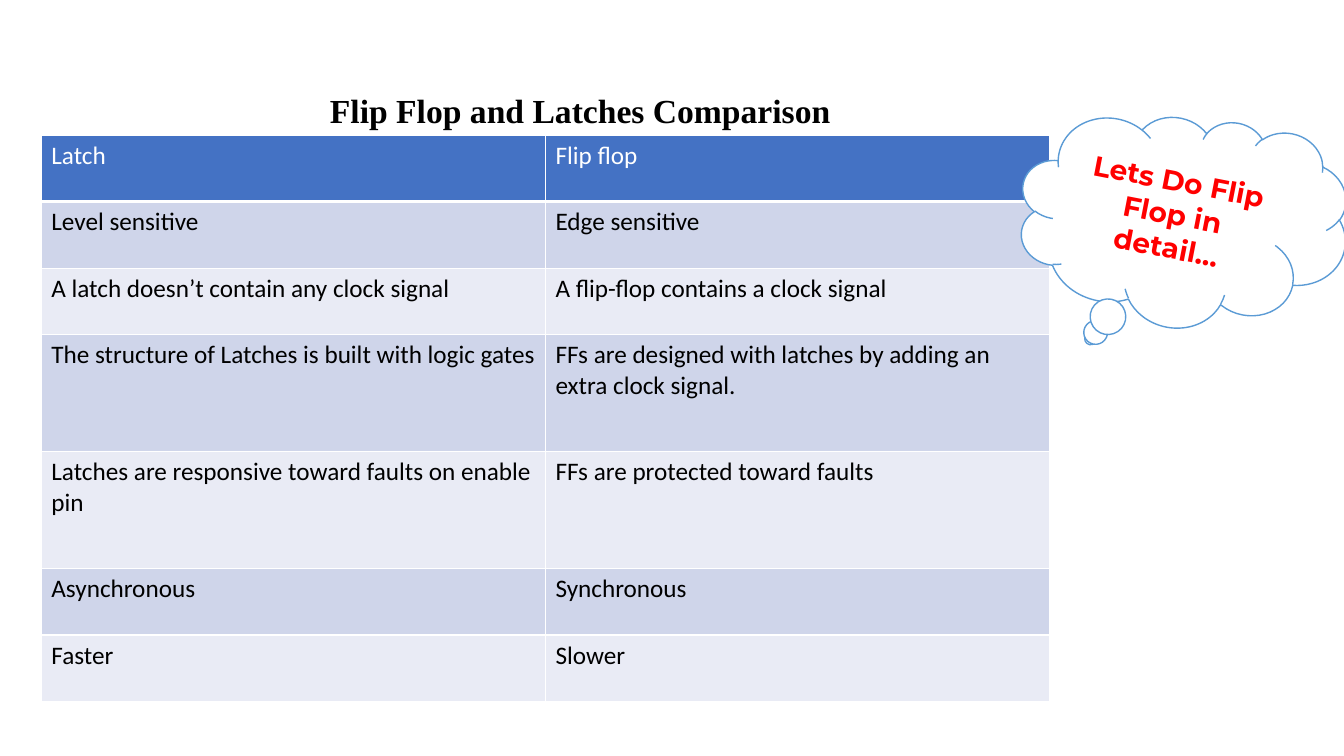
from dataclasses import dataclass

from lxml import etree
from pptx import Presentation
from pptx.dml.color import RGBColor
from pptx.enum import shapes, text
from pptx.oxml import ns
from pptx.util import Inches, Pt

COLORS = {
    "header": "4472C4",
    "odd": "CFD5EA",
    "even": "E9EBF5",
    "white": "FFFFFF",
    "black": "000000",
    "cloud_line": "5B9BD5",
    "cloud_text": "FF0000",
}


@dataclass
class ComparisonRow:
    latch: str
    flip_flop: str
    height: float = 0.66


ROWS = [
    ComparisonRow("Latch", "Flip flop"),
    ComparisonRow("Level sensitive", "Edge sensitive"),
    ComparisonRow("A latch doesn’t contain any clock signal",
                  "A flip-flop contains a clock signal"),
    ComparisonRow("The structure of Latches is built with logic gates",
                  "FFs are designed with latches by adding an extra clock signal.", 1.16),
    ComparisonRow("Latches are responsive toward faults on enable pin",
                  "FFs are protected toward faults", 1.16),
    ComparisonRow("Asynchronous", "Synchronous"),
    ComparisonRow("Faster", "Slower"),
]


def rgb(name: str) -> RGBColor:
    return RGBColor.from_string(COLORS[name])


def style_paragraph(paragraph, font_name: str, size: float, color: str,
                    bold: bool = False, align=None) -> None:
    paragraph.alignment = align
    font = paragraph.font
    font.name, font.size, font.bold = font_name, Pt(size), bold
    font.color.rgb = rgb(color)


def add_borders(cell, bottom_width: float) -> None:
    """Put white lines on all four sides, ahead of the cell's fill."""
    properties = cell._tc.get_or_add_tcPr()
    widths = {"lnL": 1, "lnR": 1, "lnT": 1, "lnB": bottom_width}
    for position, (side, width) in enumerate(widths.items()):
        line = etree.Element(ns.qn(f"a:{side}"), w=str(Pt(width)))
        fill = etree.SubElement(line, ns.qn("a:solidFill"))
        etree.SubElement(fill, ns.qn("a:srgbClr"), val=COLORS["white"])
        properties.insert(position, line)


def add_title(slide) -> None:
    title = slide.shapes.add_textbox(Inches(2.42), Inches(0.84), Inches(6.67), Inches(0.5))
    title.text_frame.word_wrap = True
    title.text_frame.text = "Flip Flop and Latches Comparison"
    style_paragraph(title.text_frame.paragraphs[0], "Times New Roman", 24, "black",
                    True, text.PP_ALIGN.CENTER)


def add_comparison(slide, rows: list[ComparisonRow]) -> None:
    total_height = sum(row.height for row in rows)
    comparison = slide.shapes.add_table(len(rows), 2, Inches(0.41), Inches(1.34),
                                        Inches(10), Inches(total_height)).table
    for index, row in enumerate(rows):
        is_header = index == 0
        band = "header" if is_header else "odd" if index % 2 else "even"
        comparison.rows[index].height = Inches(row.height)
        for column, wording in enumerate((row.latch, row.flip_flop)):
            cell = comparison.cell(index, column)
            cell.text = wording
            cell.fill.solid()
            cell.fill.fore_color.rgb = rgb(band)
            add_borders(cell, 3 if is_header else 1)
            style_paragraph(cell.text_frame.paragraphs[0], "Calibri", 18,
                            "white" if is_header else "black")


def add_thought_cloud(slide) -> None:
    cloud = slide.shapes.add_shape(shapes.MSO_SHAPE.CLOUD_CALLOUT, Inches(10.11),
                                   Inches(1.13), Inches(3.25), Inches(2.12))
    cloud.rotation = 11
    cloud.shadow.inherit = False
    cloud.fill.solid()
    cloud.fill.fore_color.rgb = rgb("white")
    cloud.line.color.rgb = rgb("cloud_line")
    cloud.line.width = Pt(1)
    frame = cloud.text_frame
    frame.word_wrap = True
    frame.vertical_anchor = text.MSO_ANCHOR.MIDDLE
    frame.text = "Lets Do Flip Flop in detail…"
    style_paragraph(frame.paragraphs[0], "Montserrat", 20, "cloud_text",
                    True, text.PP_ALIGN.CENTER)


def main() -> None:
    deck = Presentation()
    deck.slide_width, deck.slide_height = Inches(13.33), Inches(7.5)
    slide = deck.slides.add_slide(deck.slide_layouts[6])
    # Heading, table, then the cloud overlapping the table's edge
    add_title(slide)
    add_comparison(slide, ROWS)
    add_thought_cloud(slide)
    deck.save("out.pptx")


if __name__ == "__main__":
    main()
